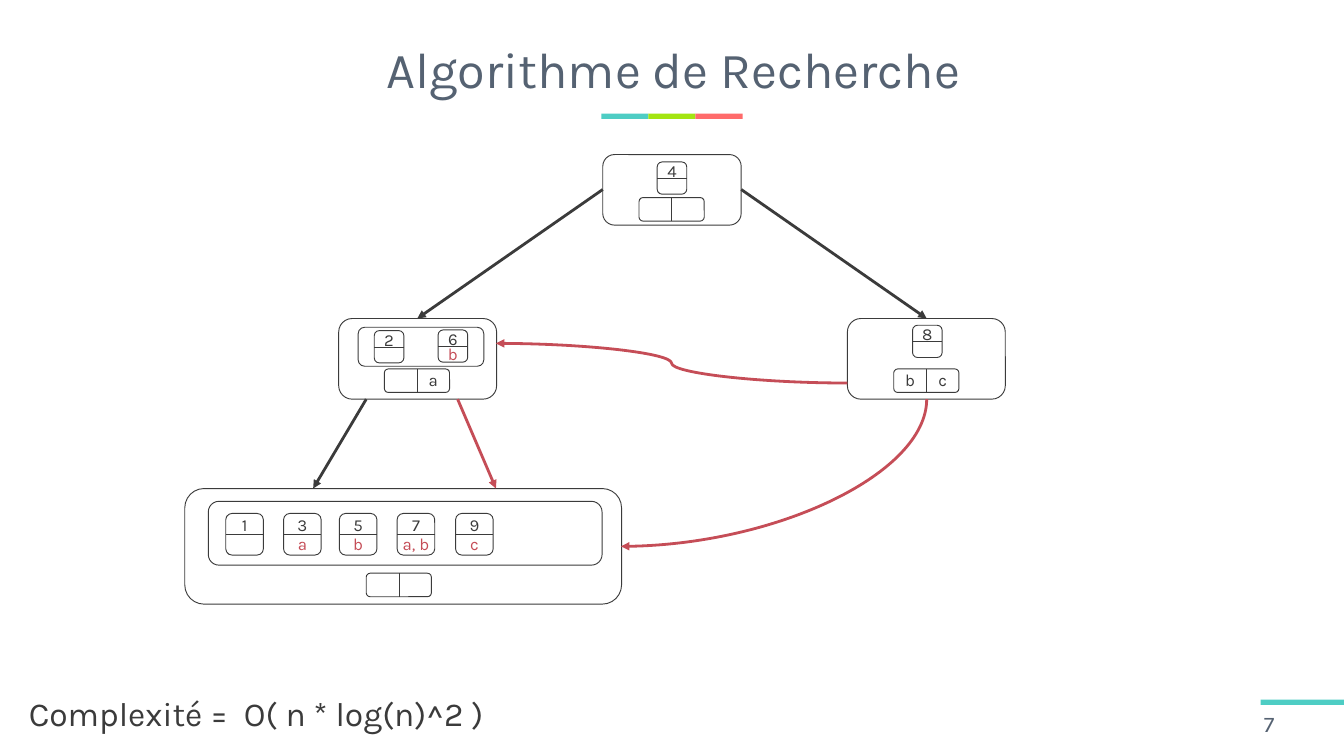
from pptx import Presentation
from pptx import util as u
from pptx.dml.color import RGBColor
from pptx.enum import shapes, text
from pptx.oxml.ns import qn
from lxml import etree

FONT, DARK, RED, SLATE, TEAL = "Karla", "3B3B3B", "C54D57", "556272", "4ECDC4"
W, H = 20, 11.25

TITLE = "Algorithme de Recherche"
COMPLEXITY = "Complexité =\u00a0 O( n * log(n)^2 )"
TITLE_BARS = [TEAL, "A3E511", "FF6B6B"]

# Key boxes: (left, top, key, label); each node has one size for its keys.
SMALL, LARGE = (0.44, 0.48), (0.56, 0.62)
NODES = [
    {"box": (8.97, 2.3, 2.06, 1.05), "size": SMALL,
     "keys": [(9.78, 2.41, "4", "")],
     "pointers": (9.51, 2.94, "", "")},
    {"box": (12.61, 4.74, 2.35, 1.2), "size": SMALL,
     "keys": [(13.58, 4.84, "8", "")],
     "pointers": (13.3, 5.49, "b", "c")},
    {"box": (5.04, 4.74, 2.35, 1.2), "frame": (5.33, 4.87, 1.87, 0.58), "size": SMALL,
     "keys": [(5.57, 4.92, "2", ""), (6.52, 4.91, "6", "b")],
     "pointers": (5.72, 5.49, "", "a")},
    {"box": (2.75, 7.27, 6.5, 1.72), "frame": (3.1, 7.46, 5.86, 0.95), "size": LARGE,
     "keys": [(3.36, 7.64, "1", ""), (4.22, 7.64, "3", "a"), (5.05, 7.64, "5", "b"),
              (5.91, 7.64, "7", "a, b"), (6.78, 7.64, "9", "c")],
     "pointers": (5.45, 8.53, "", "")},
]
ARROWS = [
    ((8.97, 2.82), (6.21, 4.74), DARK),
    ((11.03, 2.82), (13.79, 4.74), DARK),
    ((5.45, 5.94), (4.66, 7.27), DARK),
    ((6.81, 5.94), (7.38, 7.27), RED),
]
S_CURVE = ((12.61, 5.7), (7.38, 5.11), RED)
QUARTER_CURVE = ((13.79, 5.94), (9.24, 8.13), RED)


def rgb(value):
    return RGBColor.from_string(value)


def write(sp, content, size, color, align=text.PP_ALIGN.LEFT,
          anchor=text.MSO_ANCHOR.TOP, wrap=True):
    tf = sp.text_frame
    tf.text = content
    tf.word_wrap = wrap
    tf.vertical_anchor = anchor
    p = tf.paragraphs[0]
    p.alignment = align
    font = p.runs[0].font
    font.name, font.size, font.color.rgb = FONT, u.Pt(size), rgb(color)
    return p


def textbox(s, x, y, w, h):
    return s.shapes.add_textbox(u.Inches(x), u.Inches(y), u.Inches(w), u.Inches(h))


def shape(s, kind, x, y, w, h, fill="FFFFFF", line=None):
    sp = s.shapes.add_shape(kind, u.Inches(x), u.Inches(y), u.Inches(w), u.Inches(h))
    sp.shadow.inherit = False
    sp.fill.solid()
    sp.fill.fore_color.rgb = rgb(fill)
    if line:
        sp.line.color.rgb, sp.line.width = rgb(line), u.Pt(1)
    else:
        sp.line.fill.background()


def bar(s, x, y, w, color):
    shape(s, shapes.MSO_SHAPE.RECTANGLE, x, y, w, 0.08, color)


def rounded(s, x, y, w, h):
    shape(s, shapes.MSO_SHAPE.ROUNDED_RECTANGLE, x, y, w, h, line=DARK)


def connector(s, start, end, color=DARK, width=0.5, arrow=False,
              kind=shapes.MSO_CONNECTOR.STRAIGHT):
    c = s.shapes.add_connector(kind, *(u.Inches(v) for v in (*start, *end)))
    c.line.color.rgb, c.line.width = rgb(color), u.Pt(width)
    if arrow:
        etree.SubElement(c.line._get_or_add_ln(), qn("a:tailEnd"), type="triangle")
    etree.SubElement(c._element.spPr, qn("a:effectLst"))
    return c


def quarter_curve(s, start, end, color):
    """Curve that leaves downwards and arrives leftwards: a preset turned by 90 degrees."""
    (x1, y1), (x2, y2) = start, end
    cx, cy, half_w, half_h = (x1 + x2) / 2, (y1 + y2) / 2, (y2 - y1) / 2, (x1 - x2) / 2
    c = connector(s, (cx - half_w, cy - half_h), (cx + half_w, cy + half_h), color, 3, True,
                  shapes.MSO_CONNECTOR.CURVE)
    c._element.spPr.find(qn("a:prstGeom")).set("prst", "curvedConnector2")
    c._element.spPr.find(qn("a:xfrm")).set("rot", str(90 * 60000))


def symbol(s, cx, top, content, color=DARK):
    """Small text centred on cx; nothing is drawn for an empty string."""
    if content:
        w = 0.35 if len(content) == 1 else 0.62
        write(textbox(s, cx - w / 2, top, w, 0.4), content, 18, color,
              text.PP_ALIGN.CENTER, wrap=False)


def key_box(s, x, y, w, h, key, label):
    rounded(s, x, y, w, h)
    connector(s, (x, y + h / 2), (x + w, y + h / 2))
    top = y + h / 4 - 0.19
    symbol(s, x + w / 2, top, key)
    symbol(s, x + w / 2, top + h / 2 - 0.02, label, RED)


def pointer_box(s, x, y, left, right):
    w, h = 0.97, 0.35
    rounded(s, x, y, w, h)
    connector(s, (x + w / 2, y), (x + w / 2, y + h))
    symbol(s, x + w * 0.25, y - 0.04, left)
    symbol(s, x + w * 0.75, y - 0.04, right)


def main():
    prs = Presentation()
    prs.slide_width, prs.slide_height = u.Inches(W), u.Inches(H)
    s = prs.slides.add_slide(prs.slide_layouts[5])

    for i, color in enumerate(TITLE_BARS):
        bar(s, 8.95 + i * 0.7, 1.69, 0.7, color)
    bar(s, W - 1.24, 10.41, 1.24, TEAL)

    title = s.shapes.title
    title.left, title.top = u.Inches(0.54), u.Inches(0.38)
    title.width, title.height = u.Inches(18.96), u.Inches(1.4)
    p = write(title, TITLE, 54, SLATE, text.PP_ALIGN.CENTER, text.MSO_ANCHOR.MIDDLE)
    p.line_spacing = 0.9
    write(textbox(s, 18.71, 10.5, 1.29, 0.53), "7", 24, SLATE,
          anchor=text.MSO_ANCHOR.MIDDLE)
    write(textbox(s, 0.33, 10.26, 8.52, 0.71), COMPLEXITY, 36, DARK)

    for node in NODES:
        rounded(s, *node["box"])
    for start, end, color in ARROWS:
        connector(s, start, end, color, 3, True)
    connector(s, *S_CURVE, 3, True, shapes.MSO_CONNECTOR.CURVE)
    quarter_curve(s, *QUARTER_CURVE)

    for node in NODES:
        if "frame" in node:
            rounded(s, *node["frame"])
        for x, y, key, label in node["keys"]:
            key_box(s, x, y, *node["size"], key, label)
        pointer_box(s, *node["pointers"])

    prs.save("out.pptx")


if __name__ == "__main__":
    main()
